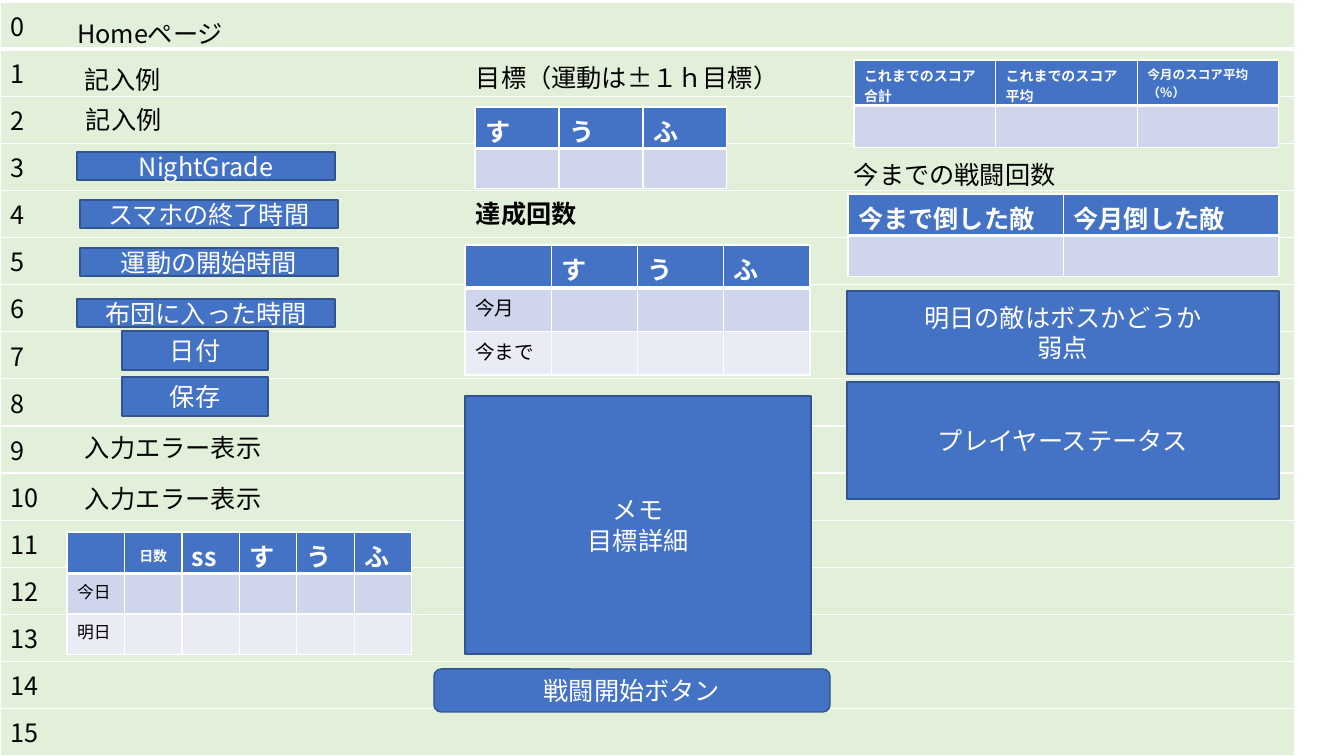
import dataclasses

import lxml.etree
import pptx
import pptx.dml.color
import pptx.enum.shapes
import pptx.enum.text
import pptx.oxml.ns
import pptx.util

EMU_PER_PIXEL = 914400 / 100.8
ANCHOR = pptx.enum.text.MSO_ANCHOR
ALIGN = pptx.enum.text.PP_ALIGN
SHAPE = pptx.enum.shapes.MSO_SHAPE
qn = pptx.oxml.ns.qn


@dataclasses.dataclass(frozen=True)
class Theme:
    """Colours, fonts and type sizes of the slide."""
    blue: str = "4472C4"
    outline: str = "325491"
    green: str = "E2F0D9"
    bands: tuple[str, str] = ("CFD5EA", "E9EBF5")
    white: str = "FFFFFF"
    black: str = "000000"
    font: str = "Noto Sans CJK JP"
    mono: str = "Noto Sans Mono"
    body: int = 18
    label: int = 14
    small: int = 12
    caption: int = 10
    tiny: int = 9
    thin: int = 1
    thick: int = 3


THEME = Theme()


@dataclasses.dataclass(frozen=True)
class Box:
    """A filled shape with centred lines of text."""
    left: int
    top: int
    width: int
    height: int
    text: str
    kind: int = SHAPE.RECTANGLE
    font: str = THEME.font


@dataclasses.dataclass(frozen=True)
class Label:
    """A plain line of text."""
    left: int
    top: int
    width: int
    text: str
    bold: bool = False


@dataclasses.dataclass(frozen=True)
class Heading:
    """A column heading of a grid."""
    text: str = ""
    size: int = THEME.body
    centred: bool = False


@dataclasses.dataclass(frozen=True)
class Grid:
    """A table with a heading row, equal columns and equal body rows."""
    left: int
    top: int
    width: int
    height: int
    heading_height: int
    headings: tuple[Heading, ...]
    row_labels: tuple[str, ...] = ("",)
    label_size: int = THEME.label


SLEEP, EXERCISE, BED = Heading("す"), Heading("う"), Heading("ふ")
HABITS = (SLEEP, EXERCISE, BED)

TITLE = Label(67, 13, 219, "Homeページ")
LABELS = [
    Label(75, 59, 263, "記入例"),
    Label(76, 99, 263, "記入例"),
    Label(75, 427, 263, "入力エラー表示"),
    Label(75, 478, 263, "入力エラー表示"),
    Label(466, 57, 446, "目標（運動は±１ｈ目標）"),
    Label(466, 193, 425, "達成回数", bold=True),
    Label(844, 154, 446, "今までの戦闘回数"),
]
BOXES = [
    Box(77, 152, 258, 28, "NightGrade"),
    Box(80, 200, 258, 28, "スマホの終了時間"),
    Box(80, 248, 258, 28, "運動の開始時間"),
    Box(77, 299, 258, 28, "布団に入った時間", font=THEME.mono),
    Box(122, 331, 146, 39, "日付"),
    Box(122, 377, 146, 39, "保存"),
    Box(465, 396, 346, 258, "メモ\n目標詳細"),
    Box(434, 669, 396, 43, "戦闘開始ボタン", SHAPE.ROUNDED_RECTANGLE),
    Box(847, 291, 432, 83, "明日の敵はボスかどうか\n弱点"),
    Box(847, 382, 432, 117, "プレイヤーステータス"),
]
GRIDS = [
    Grid(475, 107, 252, 80, 40, HABITS),
    Grid(465, 245, 345, 130, 43, (Heading(), *HABITS), ("今月", "今まで")),
    Grid(67, 532, 345, 121, 40,
         (Heading(), Heading("日数", THEME.caption, True), Heading("ss"), *HABITS),
         ("今日", "明日"), THEME.small),
    Grid(848, 194, 431, 81, 40, (Heading("今まで倒した敵"), Heading("今月倒した敵"))),
    Grid(854, 60, 425, 84, 42,
         (Heading("これまでのスコア合計", THEME.caption),
          Heading("これまでのスコア平均", THEME.caption),
          Heading("今月のスコア平均（％）", THEME.tiny))),
]
LINES, LINES_TOP, LINES_WIDTH, LINES_HEIGHT = 16, 2, 1295, 754


def px(n: float) -> int:
    """Turn pixels into EMU."""
    return pptx.util.Emu(round(n * EMU_PER_PIXEL))


def rgb(colour: str) -> pptx.dml.color.RGBColor:
    """Turn a hex string into a colour."""
    return pptx.dml.color.RGBColor.from_string(colour)


def write(tf, text: str, colour: str, size: int = THEME.body, bold: bool = False,
          align=ALIGN.LEFT, font: str = THEME.font) -> None:
    """Fill a text frame and format each of its paragraphs."""
    tf.text = text
    tf.word_wrap = True
    for p in tf.paragraphs:
        p.alignment = align
        p.font.size = pptx.util.Pt(size)
        p.font.bold = bold
        p.font.color.rgb = rgb(colour)
        p.font.name = font
        properties = p.font._element
        east_asian = lxml.etree.SubElement(properties, qn("a:ea"))
        east_asian.set("typeface", font)


def style_cell(cell, fill: str, top: int = THEME.thin, bottom: int = THEME.thin) -> None:
    """Give a cell its fill and white borders."""
    cell.fill.solid()
    cell.fill.fore_color.rgb = rgb(fill)
    tc_pr = cell._tc.get_or_add_tcPr()
    widths = {"a:lnL": THEME.thin, "a:lnR": THEME.thin, "a:lnT": top, "a:lnB": bottom}
    for i, (tag, width) in enumerate(widths.items()):
        line = lxml.etree.Element(qn(tag), w=str(pptx.util.Pt(width)))
        solid = lxml.etree.SubElement(line, qn("a:solidFill"))
        lxml.etree.SubElement(solid, qn("a:srgbClr"), val=THEME.white)
        tc_pr.insert(i, line)


def add_lines(slide) -> None:
    """Draw the numbered background lines."""
    table = slide.shapes.add_table(
        LINES, 1, 0, px(LINES_TOP), px(LINES_WIDTH), px(LINES_HEIGHT)).table
    for i in range(LINES):
        cell = table.cell(i, 0)
        write(cell.text_frame, str(i), THEME.black)
        style_cell(cell, THEME.green,
                   top=THEME.thick if i == 1 else THEME.thin,
                   bottom=THEME.thick if i == 0 else THEME.thin)


def add_grid(slide, grid: Grid) -> None:
    """Draw a table with its headings and row labels."""
    rows = len(grid.row_labels)
    table = slide.shapes.add_table(
        rows + 1, len(grid.headings), px(grid.left), px(grid.top),
        px(grid.width), px(grid.height)).table
    table.rows[0].height = px(grid.heading_height)
    for r in range(1, rows + 1):
        table.rows[r].height = px((grid.height - grid.heading_height) / rows)
    for c, heading in enumerate(grid.headings):
        cell = table.cell(0, c)
        cell.margin_bottom = 0
        cell.vertical_anchor = ANCHOR.MIDDLE if heading.centred else ANCHOR.TOP
        write(cell.text_frame, heading.text, THEME.white, heading.size, True,
              ALIGN.CENTER if heading.centred else ALIGN.LEFT)
        style_cell(cell, THEME.blue, bottom=THEME.thick)
        for r, label in enumerate(grid.row_labels, 1):
            cell = table.cell(r, c)
            cell.margin_bottom = 0
            write(cell.text_frame, label if c == 0 else "", THEME.black, grid.label_size)
            style_cell(cell, THEME.bands[(r - 1) % 2],
                       top=THEME.thick if r == 1 else THEME.thin)


def add_box(slide, box: Box) -> None:
    """Draw a blue box with centred text."""
    sp = slide.shapes.add_shape(
        box.kind, px(box.left), px(box.top), px(box.width), px(box.height))
    sp.shadow.inherit = False
    sp.fill.solid()
    sp.fill.fore_color.rgb = rgb(THEME.blue)
    sp.line.color.rgb = rgb(THEME.outline)
    sp.line.width = pptx.util.Pt(THEME.thin)
    sp.text_frame.vertical_anchor = ANCHOR.MIDDLE
    write(sp.text_frame, box.text, THEME.white, align=ALIGN.CENTER, font=box.font)


def place_label(sp, label: Label) -> None:
    """Position a text shape and write its label."""
    sp.left, sp.top, sp.width, sp.height = map(px, (label.left, label.top, label.width, 40))
    sp.text_frame.auto_size = pptx.enum.text.MSO_AUTO_SIZE.NONE
    sp.text_frame.vertical_anchor = ANCHOR.TOP
    write(sp.text_frame, label.text, THEME.black, bold=label.bold)


def main() -> None:
    """Build the slide and save it."""
    prs = pptx.Presentation()
    prs.slide_width, prs.slide_height = px(1344), px(756)
    slide = prs.slides.add_slide(prs.slide_layouts[5])
    add_lines(slide)
    title = slide.shapes.title
    place_label(title, TITLE)
    slide.shapes._spTree.append(title._element)
    for label in LABELS:
        place_label(slide.shapes.add_textbox(0, 0, 0, 0), label)
    for box in BOXES:
        add_box(slide, box)
    for grid in GRIDS:
        add_grid(slide, grid)
    prs.save("out.pptx")


main()
